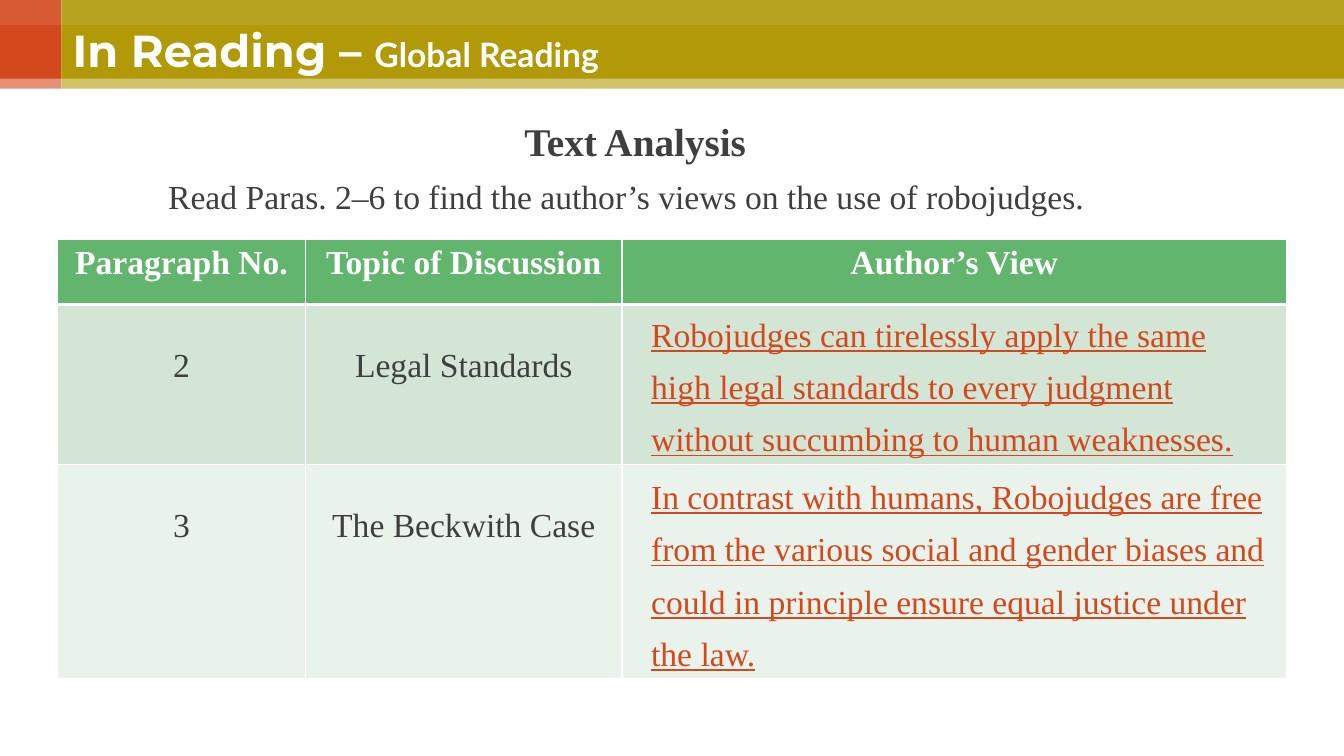
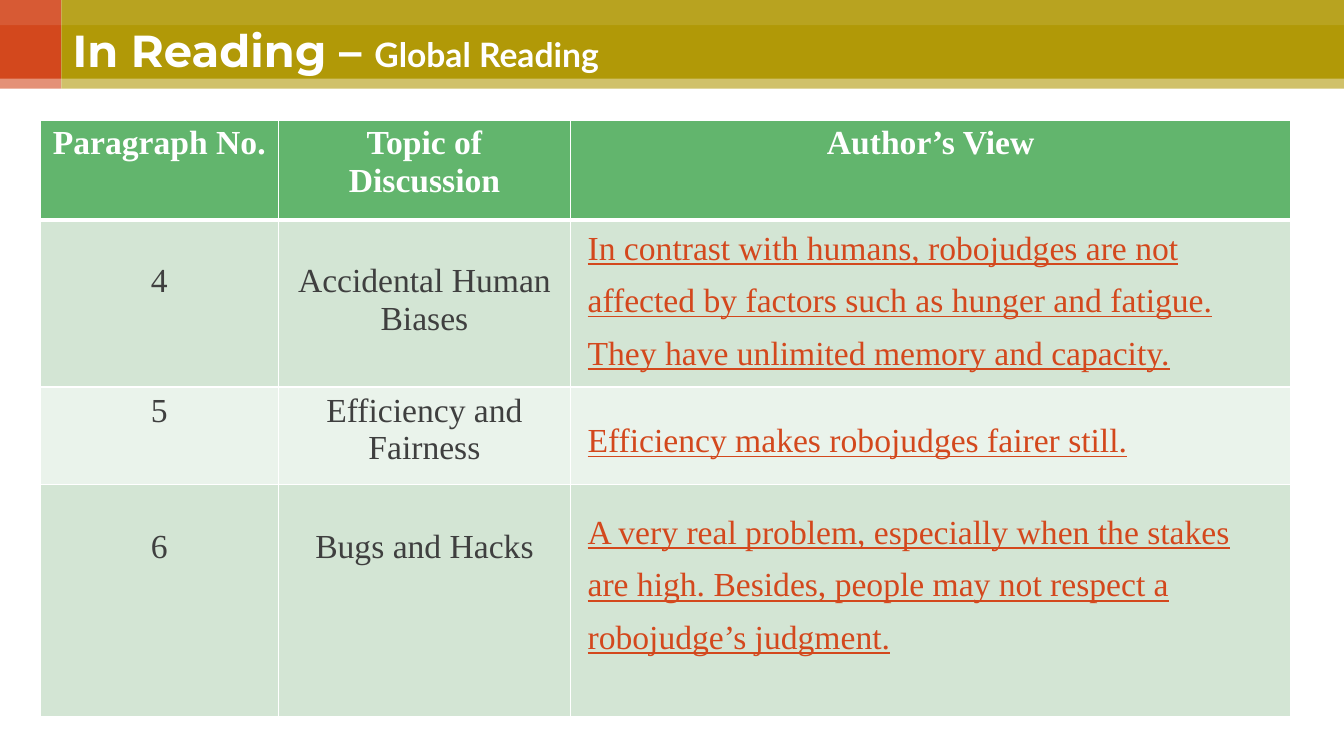
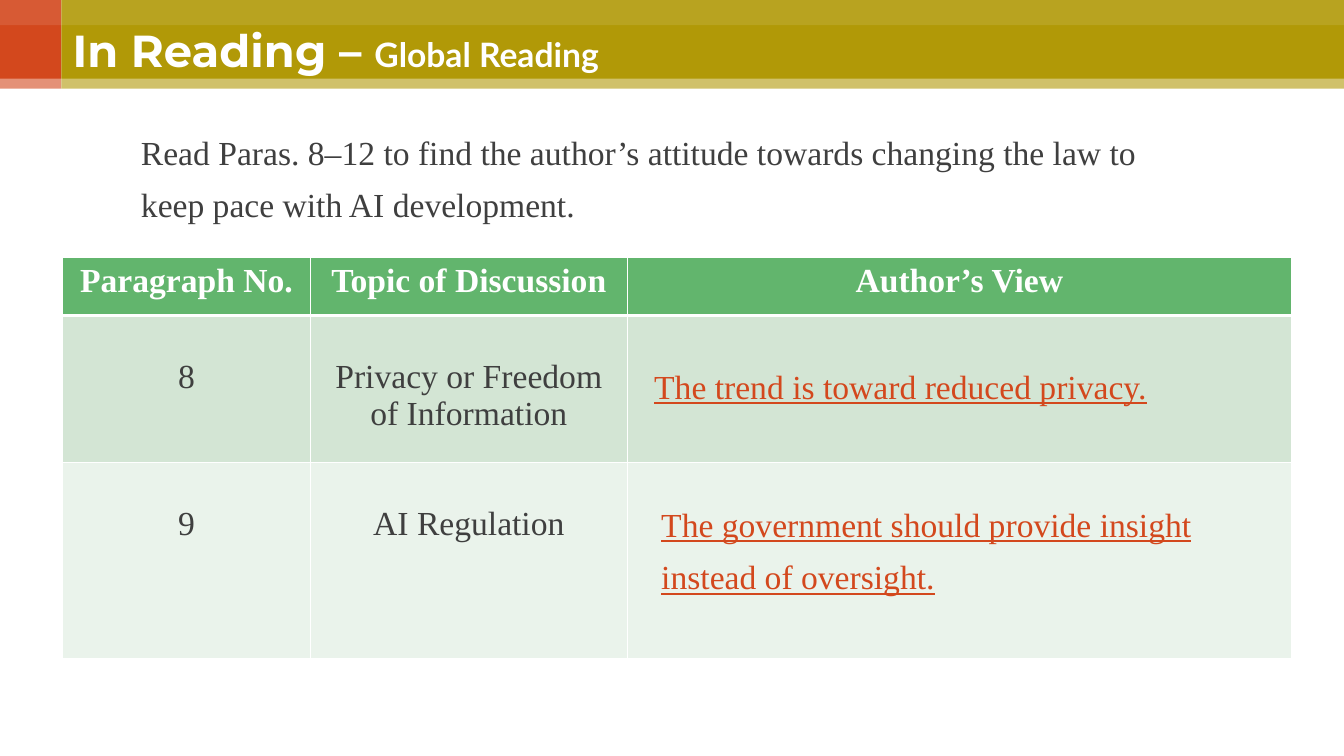
"""Build three slides of a reading lesson with tables of the author's views."""
from lxml import etree
from pptx import Presentation
from pptx.dml.color import RGBColor
from pptx.enum.shapes import MSO_SHAPE
from pptx.enum.text import MSO_ANCHOR, PP_ALIGN
from pptx.oxml.ns import qn
from pptx.util import Inches, Pt

RECTANGLE = MSO_SHAPE.RECTANGLE
MIDDLE = MSO_ANCHOR.MIDDLE
LEFT, CENTER = PP_ALIGN.LEFT, PP_ALIGN.CENTER
BODY_FONT = "Times New Roman"
COLORS = {
    "white": "FFFFFF",
    "orange": "D3481D",
    "olive": "B19907",
    "text": "3F3F3F",
    "header": "62B56D",
    "odd row": "D3E5D4",
    "even row": "EAF3EB",
}
BANDS = [
    (0, 0, 0.61, 0.88, "orange", 100),
    (0.61, 0, 12.72, 0.88, "olive", 100),
    (0, 0.78, 13.33, 0.24, "white", 40),
    (0, 0, 13.33, 0.25, "white", 10),
]
TITLE_RUNS = [("In Reading – ", "Montserrat", 32), ("Global Reading", "Lato", 24)]
HEADERS = ("Paragraph No.", "Topic of Discussion", "Author’s View")
CELL_MARGIN, LINE_HEIGHT = 0.05, 0.38

SLIDES = [
    {
        "intro": (1.57, 0.97, 9.46, 1.19),
        "intro lines": [
            ("Text Analysis", 28, True, CENTER),
            ("Read Paras. 2–6 to find the author’s views on the use of robojudges.", 24, False, LEFT),
        ],
        "table": (0.57, 2.38),
        "columns": (2.46, 3.14, 6.59),
        "rows": (0.64, 1.59, 2.12),
        "topics": [("2", "Legal Standards", 1), ("3", "The Beckwith Case", 1)],
        "views": [
            (6.36, 2.94, 6.22, 1.62, "Robojudges can tirelessly apply the same high legal standards "
             "to every judgment without succumbing to human weaknesses."),
            (6.36, 4.55, 6.34, 2.15, "In contrast with humans, Robojudges are free from the various "
             "social and gender biases and could in principle ensure equal justice under the law."),
        ],
    },
    {
        "intro lines": [],
        "table": (0.4, 1.19),
        "columns": (2.36, 2.9, 7.14),
        "rows": (0.99, 1.66, 0.97, 2.3),
        "topics": [
            ("4", "Accidental Human Biases", 1),
            ("5", "Efficiency and Fairness", 0),
            ("6", "Bugs and Hacks", 1),
        ],
        "views": [
            (5.73, 2.08, 6.85, 1.62, "In contrast with humans, robojudges are not affected by factors "
             "such as hunger and fatigue. They have unlimited memory and capacity."),
            (5.73, 3.99, 5.66, 0.57, "Efficiency makes robojudges fairer still."),
            (5.73, 4.9, 6.77, 1.62, "A very real problem, especially when the stakes are high. "
             "Besides, people may not respect a robojudge’s judgment."),
        ],
    },
    {
        "intro": (1.3, 1.14, 10.6, 1.1),
        "intro lines": [
            ("Read Paras. 8–12 to find the author’s attitude towards changing the law to keep pace "
             "with AI development.", 24, False, LEFT),
        ],
        "table": (0.62, 2.55),
        "columns": (2.46, 3.14, 6.59),
        "rows": (0.58, 1.46, 1.94),
        "topics": [("8", "Privacy or Freedom of Information", 1), ("9", "AI Regulation", 1)],
        "views": [
            (6.39, 3.46, 5.68, 0.57, "The trend is toward reduced privacy."),
            (6.46, 4.83, 5.98, 1.1, "The government should provide insight instead of oversight."),
        ],
    },
]


def style_paragraph(paragraph, color, size=24, bold=False, underline=False, align=LEFT, spacing=1.0):
    paragraph.alignment = align
    paragraph.line_spacing = spacing
    font = paragraph.font
    font.name = BODY_FONT
    font.size = Pt(size)
    font.bold = bold
    font.underline = underline
    font.color.rgb = RGBColor.from_string(COLORS[color])


def add_text(slide, box, lines, color, underline=False):
    frame = slide.shapes.add_textbox(*map(Inches, box)).text_frame
    frame.word_wrap = True
    for index, (text, size, bold, align) in enumerate(lines):
        paragraph = frame.add_paragraph() if index else frame.paragraphs[0]
        paragraph.text = text
        style_paragraph(paragraph, color, size, bold, underline, align, 1.3)


presentation = Presentation()
presentation.slide_width = Inches(13.33)
presentation.slide_height = Inches(7.5)
layout = presentation.slide_layouts[5]
layout_title = layout.placeholders[0]
layout_title.left, layout_title.top = Inches(0.62), Inches(0.16)
layout_title.width, layout_title.height = Inches(11.97), Inches(0.74)
layout_title.text_frame.vertical_anchor = MIDDLE

slides = [presentation.slides.add_slide(layout) for content in SLIDES]

for index, (left, top, width, height, color, opacity) in enumerate(BANDS):
    band = slides[0].shapes.add_shape(RECTANGLE, Inches(left), Inches(top), Inches(width), Inches(height))
    band.name = f"Band {index + 1}"
    band.shadow.inherit = False
    band.fill.solid()
    band.fill.fore_color.rgb = RGBColor.from_string(COLORS[color])
    band.line.fill.background()
    if opacity < 100:
        fill_color = next(band._element.iter(qn("a:srgbClr")))
        etree.SubElement(fill_color, qn("a:alpha"), val=str(opacity * 1000))
    band._element.nvSpPr.cNvPr.set("id", str(20 + index))
    layout.shapes._spTree.insert(2 + index, band._element)

for slide, content in zip(slides, SLIDES):
    title = slide.shapes.title.text_frame.paragraphs[0]
    title.alignment = LEFT
    title.line_spacing = 0.9
    title.font.bold = True
    title.font.color.rgb = RGBColor.from_string(COLORS["white"])
    for text, font_name, size in TITLE_RUNS:
        run = title.add_run()
        run.text = text
        run.font.name = font_name
        run.font.size = Pt(size)

    if content["intro lines"]:
        add_text(slide, content["intro"], content["intro lines"], "text")

    columns, rows = content["columns"], content["rows"]
    box = (*content["table"], sum(columns), sum(rows))
    table = slide.shapes.add_table(len(rows), len(columns), *map(Inches, box)).table
    for column, width in zip(table.columns, columns):
        column.width = Inches(width)
    for row, height in zip(table.rows, rows):
        row.height = Inches(height)

    table_rows = [(HEADERS, 0)]
    table_rows += [((number, topic, ""), skipped) for number, topic, skipped in content["topics"]]
    for row_index, (texts, skipped_lines) in enumerate(table_rows):
        is_header = row_index == 0
        fill = "header" if is_header else "odd row" if row_index % 2 else "even row"
        for column_index, text in enumerate(texts):
            cell = table.cell(row_index, column_index)
            cell.fill.solid()
            cell.fill.fore_color.rgb = RGBColor.from_string(COLORS[fill])
            cell.margin_top = Inches(CELL_MARGIN + skipped_lines * LINE_HEIGHT)
            cell.text = text
            style_paragraph(cell.text_frame.paragraphs[0], "white" if is_header else "text",
                            bold=is_header, align=CENTER)
            properties = cell._tc.get_or_add_tcPr()
            for side_index, side in enumerate(("lnL", "lnR", "lnT", "lnB")):
                below_header = (row_index, side) in ((0, "lnB"), (1, "lnT"))
                border = etree.Element(qn(f"a:{side}"), w=str(Pt(3 if below_header else 1)))
                border_fill = etree.SubElement(border, qn("a:solidFill"))
                etree.SubElement(border_fill, qn("a:srgbClr"), val=COLORS["white"])
                properties.insert(side_index, border)

    for *box, text in content["views"]:
        add_text(slide, box, [(text, 24, False, LEFT)], "orange", underline=True)

presentation.save("out.pptx")
